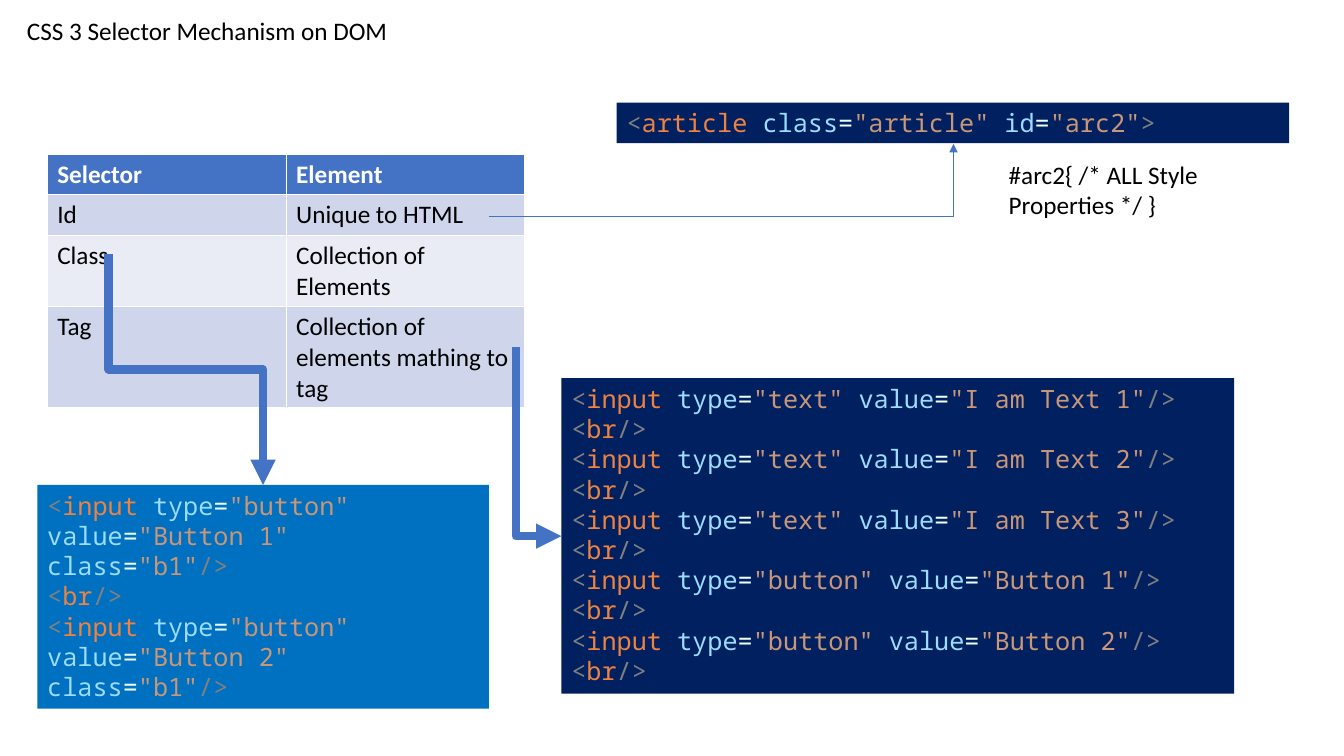
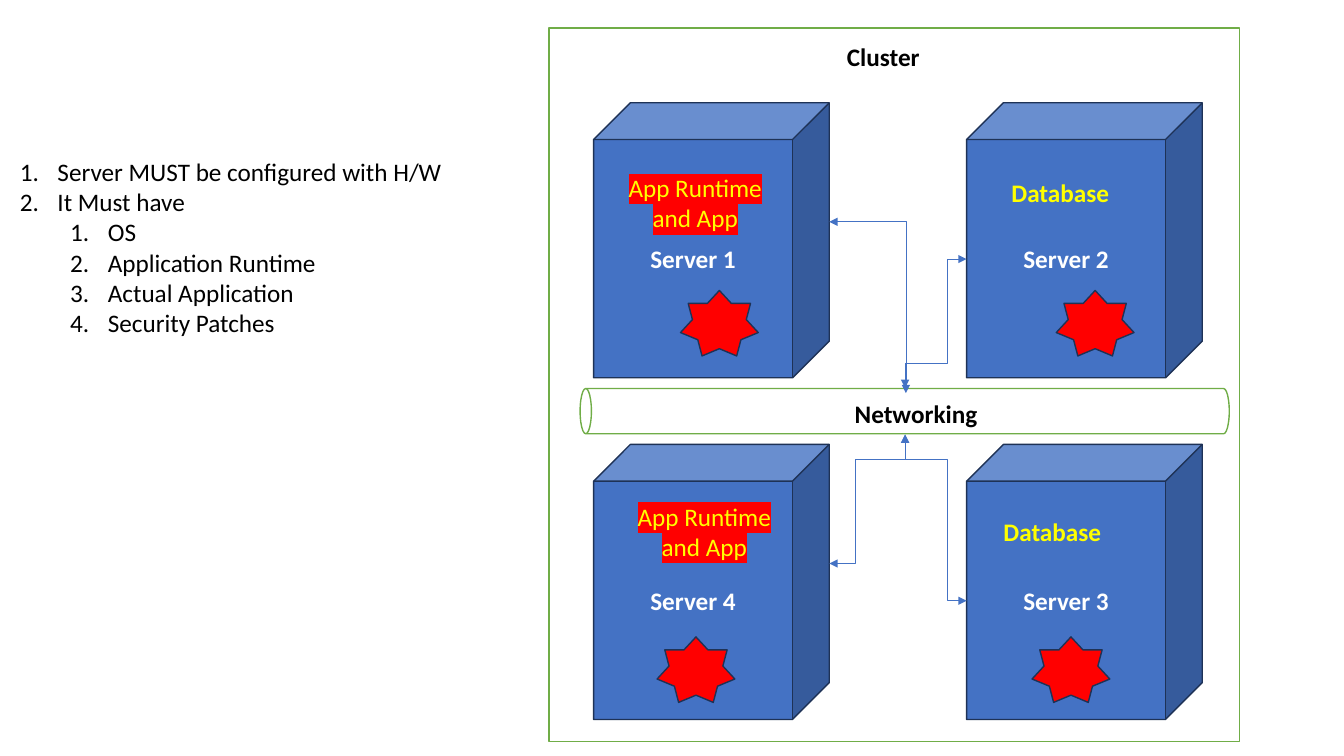
from itertools import groupby
from lxml.etree import SubElement
from pptx import Presentation
from pptx.dml.color import RGBColor
from pptx.enum.shapes import MSO_CONNECTOR, MSO_SHAPE as SHAPE
from pptx.enum.text import MSO_ANCHOR as ANCHOR, PP_ALIGN as ALIGN
from pptx.oxml.ns import qn
from pptx.util import Cm, Pt

# Shared look
BLACK, WHITE, YELLOW, RED = "000000", "FFFFFF", "FFFF00", "FF0000"
BLUE, NAVY, SKY, GREEN, EDGE = "4472C4", "002060", "0070C0", "70AD47", "1E3256"
HEAD, BAND_DARK, BAND_LIGHT = "4472C4", "CFD5EA", "E9EBF5"
CODE = {"mark": "808080", "tag": "EE8241", "attribute": "9CDCFE",
        "equals": "EEFFFF", "value": "C99677"}
BODY_FONT, CODE_FONT, SIZE = "Calibri", "Noto Sans Mono", 18

# Slide 1 content: places are left, top, width, height in cm
TITLE = "CSS 3 Selector Mechanism on DOM"
SELECTORS = [("Selector", "Element"),
             ("Id", "Unique to HTML"),
             ("Class", "Collection of Elements"),
             ("Tag", "Collection of elements mathing to tag")]
ROW_HEIGHTS = (1.02, 1.02, 1.8, 2.54)
STYLE_RULE = "#arc2{ /* ALL Style Properties */ }"
INPUTS = [("text", f"I am Text {n}") for n in (1, 2, 3)]
INPUTS += [("button", f"Button {n}") for n in (1, 2)]
BREAK = "<br/>"
ARTICLE_CODE = ['<article class="article" id="arc2">']
TAG_CODE = [line for kind, value in INPUTS
            for line in (f'<input type="{kind}" value="{value}"/>', BREAK)]
CLASS_CODE = ['<input type="button" value="Button 1"', 'class="b1"/>', BREAK,
              '<input type="button" value="Button 2"', 'class="b1"/>']
CODE_BOXES = [(ARTICLE_CODE, (15.54, 2.59, 16.95, 1.02), NAVY),
              (TAG_CODE, (14.15, 9.53, 16.95, 7.95), NAVY),
              (CLASS_CODE, (0.94, 12.22, 11.38, 5.64), SKY)]
# start, end, bends preset, line width, format
SELECTOR_ARROWS = [
    ((12.32, 5.46), (24.03, 3.63), 2, 0.5, dict(flip="V")),
    ((13.0, 8.74), (14.15, 13.51), 2, 6, dict(rot=270, flip="H")),
    ((2.74, 6.4), (6.63, 12.22), 3, 6, dict(rot=270, flip="H"))]

# Slide 2 content
REQUIREMENTS = [(0, "Server MUST be configured with H/W"), (0, "It Must have"),
                (1, "OS"), (1, "Application Runtime"),
                (1, "Actual Application"), (1, "Security Patches")]
APP = ("App Runtime and App", 1.8, dict(highlight=RED))
DATABASE = ("Database", 1.02, dict(bold=True))
COLUMNS, ROWS, SERVER_SIZE = (14.96, 24.36), (2.59, 11.2), (5.94, 6.93)
# name, column, row, role, role offset, star offset
SERVERS = [("Server 1", 0, 0, APP, (0.53, 1.63), (2.19, 4.73)),
           ("Server 2", 1, 0, DATABASE, (0.33, 1.75), (2.26, 4.73)),
           ("Server 4", 0, 1, APP, (0.76, 1.3), (1.6, 4.85)),
           ("Server 3", 1, 1, DATABASE, (0.13, 1.68), (1.65, 4.85))]
NETWORK_ARROWS = [
    ((20.9, 5.59), (22.83, 9.91), 2, 0.5, dict(head=True)),
    ((22.81, 9.78), (24.36, 6.53), 4, 0.5,
     dict(rot=90, flip="HV", adjust=(19500, 68700), head=True)),
    ((22.81, 10.95), (20.9, 14.2), 4, 0.5,
     dict(rot=90, adjust=(19500, 65200), head=True)),
    ((22.81, 10.95), (24.36, 15.14), 4, 0.5,
     dict(rot=270, flip="H", adjust=(15100, 68700), head=True))]


def rgb(value):
    return RGBColor.from_string(value)


def write(paragraph, text, color=BLACK, font=BODY_FONT, bold=False,
          align=None, highlight=None):
    """Add one formatted run to a paragraph."""
    run = paragraph.add_run()
    run.text = text
    run.font.size, run.font.name, run.font.bold = Pt(SIZE), font, bold
    run.font.color.rgb = rgb(color)
    if align is not None:
        paragraph.alignment = align
    if highlight:
        properties = run.font._element
        mark = SubElement(properties, qn("a:highlight"))
        SubElement(mark, qn("a:srgbClr")).set("val", highlight)
        properties.find(qn("a:solidFill")).addnext(mark)


def add_text(slide, place, text=None, **style):
    frame = slide.shapes.add_textbox(*map(Cm, place)).text_frame
    frame.word_wrap = True
    if text:
        write(frame.paragraphs[0], text, **style)
    return frame


def add_block(slide, preset, place, fill, line=None):
    block = slide.shapes.add_shape(preset, *map(Cm, place))
    block.shadow.inherit = False
    block.fill.solid()
    block.fill.fore_color.rgb = rgb(fill)
    if line:
        block.line.color.rgb = rgb(line)
        block.line.width = Pt(1)
    else:
        block.line.fill.background()
    block.text_frame.word_wrap = True
    return block


def add_elbow(slide, start, end, bends, width, rot=0, flip="", adjust=(),
              head=False):
    """Bent arrow; its frame is turned about the middle of its two ends."""
    (x1, y1), (x2, y2) = start, end
    half_w, half_h = abs(x2 - x1) / 2, abs(y2 - y1) / 2
    if rot in (90, 270):
        half_w, half_h = half_h, half_w
    mid_x, mid_y = (x1 + x2) / 2, (y1 + y2) / 2
    corners = (mid_x - half_w, mid_y - half_h, mid_x + half_w, mid_y + half_h)
    arrow = slide.shapes.add_connector(MSO_CONNECTOR.ELBOW, *map(Cm, corners))
    arrow.line.color.rgb = rgb(BLUE)
    arrow.line.width = Pt(width)
    properties = arrow._element.spPr
    frame = properties.find(qn("a:xfrm"))
    frame.set("rot", str(rot * 60000))
    for axis in flip:
        frame.set(f"flip{axis}", "1")
    geometry = properties.find(qn("a:prstGeom"))
    geometry.set("prst", f"bentConnector{bends}")
    guides = geometry.find(qn("a:avLst"))
    for number, value in enumerate(adjust, 1):
        guide = SubElement(guides, qn("a:gd"))
        guide.set("name", f"adj{number}")
        guide.set("fmla", f"val {value}")
    line = properties.find(qn("a:ln"))
    for tip in ("headEnd", "tailEnd") if head else ("tailEnd",):
        SubElement(line, qn(f"a:{tip}")).set("type", "triangle")
    SubElement(properties, qn("a:effectLst"))


def char_kind(char):
    return {"=": "equals", " ": "space"}.get(
        char, "mark" if char in "</>" else "word")


def code_tokens(line):
    """Split a line of markup into (text, kind) pairs."""
    before = ""
    for index, piece in enumerate(line.split('"')):
        if index % 2:
            yield f'"{piece}"', "value"
            continue
        for kind, chars in groupby(piece, char_kind):
            token = "".join(chars)
            if kind == "word":
                kind = "tag" if before == "<" else "attribute"
            yield token, "mark" if kind == "space" else kind
            before = token


def add_code(slide, lines, place, fill):
    frame = add_block(slide, SHAPE.RECTANGLE, place, fill).text_frame
    frame.vertical_anchor = ANCHOR.TOP
    for index, line in enumerate(lines):
        paragraph = frame.add_paragraph() if index else frame.paragraphs[0]
        for token, kind in code_tokens(line):
            write(paragraph, token, color=CODE[kind], font=CODE_FONT,
                  align=ALIGN.LEFT)


def add_selector_table(slide):
    place = (1.19, 3.89, 12.04, sum(ROW_HEIGHTS))
    table = slide.shapes.add_table(len(SELECTORS), 2, *map(Cm, place)).table
    for r, (texts, height) in enumerate(zip(SELECTORS, ROW_HEIGHTS)):
        table.rows[r].height = Cm(height)
        fill = HEAD if r == 0 else BAND_DARK if r % 2 else BAND_LIGHT
        for c, text in enumerate(texts):
            cell = table.cell(r, c)
            cell.fill.solid()
            cell.fill.fore_color.rgb = rgb(fill)
            write(cell.text_frame.paragraphs[0], text, bold=r == 0,
                  color=BLACK if r else WHITE)


def add_requirements(slide):
    frame = add_text(slide, (0.25, 3.81, 12.55, 4.88))
    for index, (level, text) in enumerate(REQUIREMENTS):
        paragraph = frame.add_paragraph() if index else frame.paragraphs[0]
        paragraph.level = level
        properties = paragraph._p.get_or_add_pPr()
        properties.set("marL", str(Cm(0.95 + 1.27 * level)))
        properties.set("indent", str(-Cm(0.95)))
        SubElement(properties, qn("a:buFont")).set("typeface", "+mj-lt")
        SubElement(properties, qn("a:buAutoNum")).set("type", "arabicPeriod")
        write(paragraph, text)


def build_selectors(slide):
    add_text(slide, (0.43, 0.25, 15.11, 1.02), TITLE)
    add_selector_table(slide)
    add_text(slide, (25.17, 3.89, 6.58, 1.8), STYLE_RULE)
    for box in CODE_BOXES:
        add_code(slide, *box)
    for *route, style in SELECTOR_ARROWS:
        add_elbow(slide, *route, **style)


def build_cluster(slide):
    # Cluster frame
    add_block(slide, SHAPE.RECTANGLE, (13.84, 0.71, 17.4, 17.98), WHITE, GREEN)
    add_text(slide, (14.22, 0.91, 16.08, 1.02), "Cluster", bold=True,
             align=ALIGN.CENTER)
    # Servers with their roles and stars
    for name, column, row, role, role_at, star_at in SERVERS:
        left, top = COLUMNS[column], ROWS[row]
        server = add_block(slide, SHAPE.CUBE, (left, top, *SERVER_SIZE),
                           BLUE, EDGE)
        server.adjustments[0] = 0.156
        server.text_frame.vertical_anchor = ANCHOR.MIDDLE
        write(server.text_frame.paragraphs[0], name, color=WHITE, bold=True,
              align=ALIGN.CENTER)
        add_block(slide, SHAPE.STAR_7_POINT,
                  (left + star_at[0], top + star_at[1], 1.96, 1.65), RED, EDGE)
        label, height, style = role
        add_text(slide, (left + role_at[0], top + role_at[1], 4.06, height),
                 label, color=YELLOW, align=ALIGN.CENTER, **style)
    # Network pipe and its links
    pipe = add_block(slide, SHAPE.CAN, (22.23, 2.18, 1.14, 16.36), WHITE, GREEN)
    pipe.rotation = 270
    for *route, style in NETWORK_ARROWS:
        add_elbow(slide, *route, **style)
    add_text(slide, (15.49, 9.91, 15.19, 1.02), "Networking", bold=True,
             align=ALIGN.CENTER)
    add_requirements(slide)


def main():
    deck = Presentation()
    deck.slide_width, deck.slide_height = Cm(33.87), Cm(19.05)
    for build in (build_selectors, build_cluster):
        build(deck.slides.add_slide(deck.slide_layouts[6]))
    deck.save("out.pptx")


if __name__ == "__main__":
    main()
